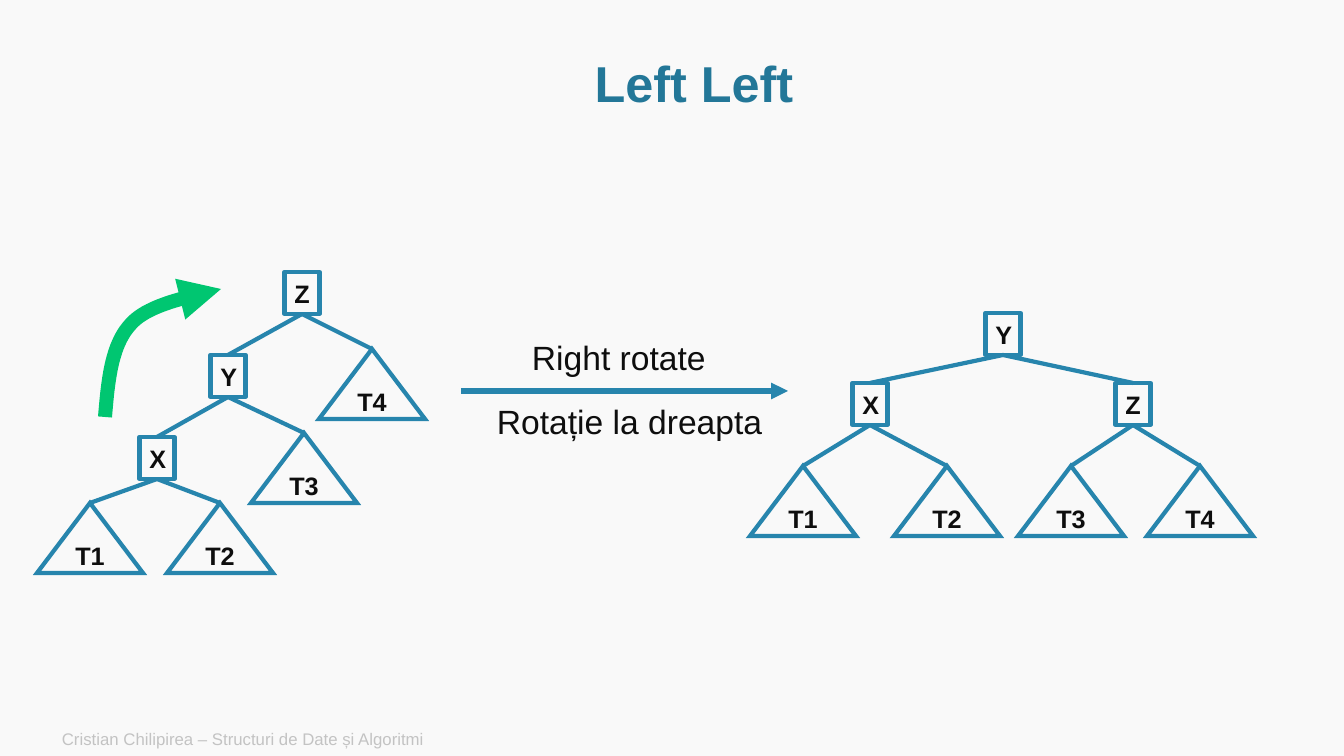
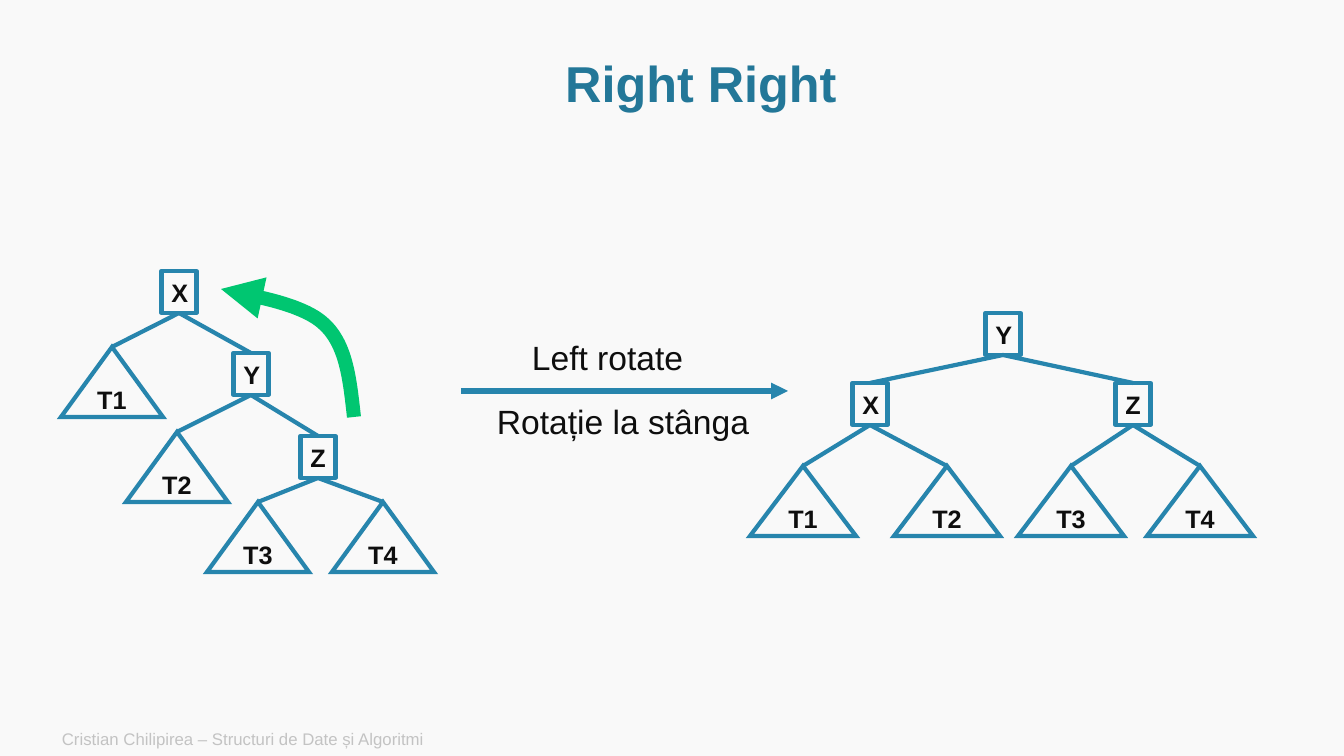
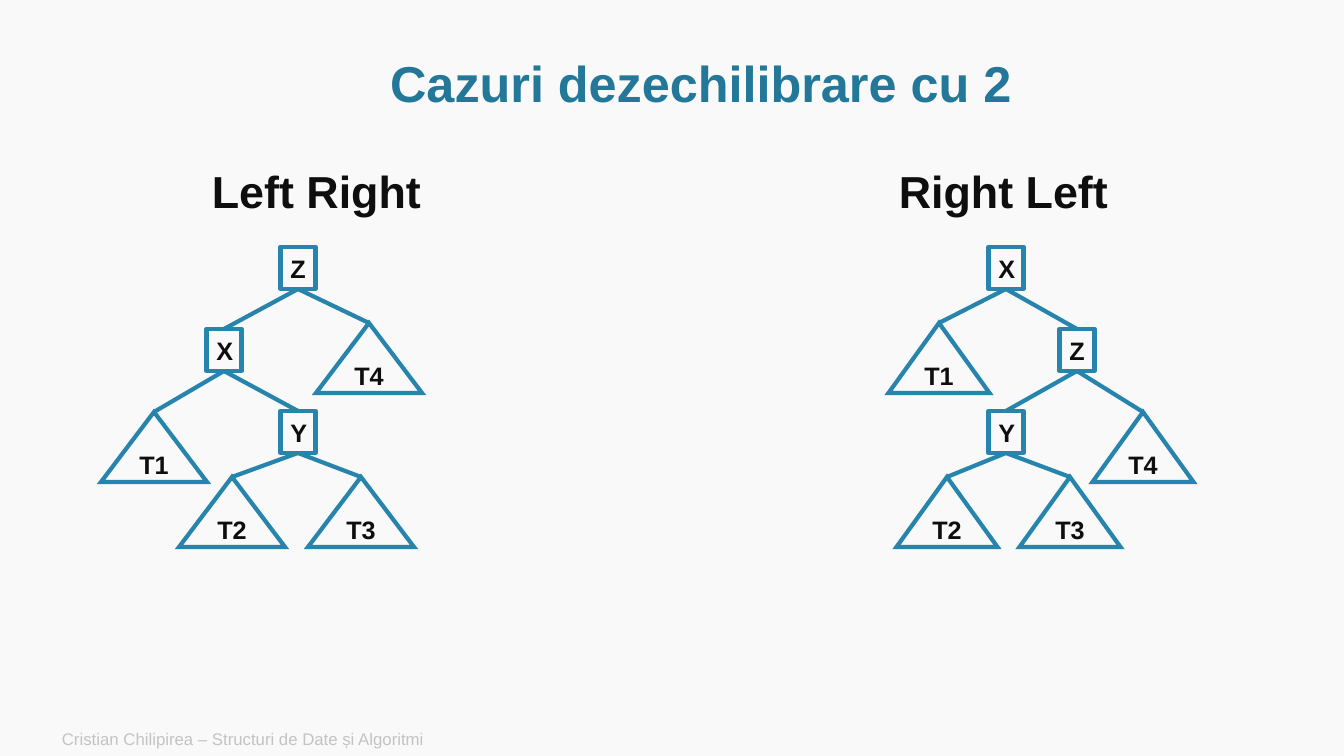
import pptx
import pptx.dml.color
import pptx.enum.shapes
import pptx.enum.text
import pptx.oxml.ns
import pptx.util
from lxml import etree

PX = 914400 / 100.8
COLOURS = {"background": "F9F9F9", "title": "237798", "text": "0E0E0E",
           "footer": "C3C3C3", "edge": "2785AD", "turn": "00C671"}
STYLES = {
    "title": {"size": 36, "bold": True, "colour": "title"},
    "heading": {"size": 32, "bold": True, "colour": "text"},
    "label": {"size": 24, "bold": False, "colour": "text"},
    "node": {"size": 18, "bold": True, "colour": "text"},
    "footer": {"size": 12, "bold": False, "colour": "footer"},
}
TITLE_AREA = (115, 51, 1172, 70)
FOOTER_AREA = (52, 722, 847, 34)
FOOTER = "Cristian Chilipirea – Structuri de Date și Algoritmi"
NODE_WIDTH, NODE_HEIGHT, SUBTREE_HEIGHT = 35, 42, 70
CURVE_STEPS = 24

ANCHOR = pptx.enum.text.MSO_ANCHOR
ALIGN = pptx.enum.text.PP_ALIGN
SHAPE = pptx.enum.shapes.MSO_SHAPE

# Each tree gives the apex of every node (centre x, top y) and the children of each key.
balanced = {
    "subtree_width": 106,
    "apex": {"Y": (1003, 313), "X": (870, 383), "Z": (1133, 383), "T1": (803, 466),
             "T2": (947, 466), "T3": (1071, 466), "T4": (1200, 466)},
    "children": {"Y": ("X", "Z"), "X": ("T1", "T2"), "Z": ("T3", "T4")},
}
left_left = {
    "subtree_width": 106,
    "apex": {"Z": (302, 272), "Y": (228, 355), "X": (157, 437), "T1": (90, 503),
             "T2": (220, 503), "T3": (304, 433), "T4": (372, 349)},
    "children": {"Z": ("Y", "T4"), "Y": ("X", "T3"), "X": ("T1", "T2")},
}
right_right = {
    "subtree_width": 102,
    "apex": {"X": (179, 271), "Y": (251, 353), "Z": (318, 436), "T1": (112, 347),
             "T2": (177, 432), "T3": (258, 502), "T4": (383, 502)},
    "children": {"X": ("T1", "Y"), "Y": ("T2", "Z"), "Z": ("T3", "T4")},
}
left_right = {
    "subtree_width": 106,
    "apex": {"Z": (298, 247), "X": (224, 329), "Y": (298, 411), "T1": (154, 412),
             "T2": (232, 477), "T3": (361, 477), "T4": (369, 323)},
    "children": {"Z": ("X", "T4"), "X": ("T1", "Y"), "Y": ("T2", "T3")},
}
right_left = {
    "subtree_width": 101,
    "apex": {"X": (1006, 247), "Z": (1077, 329), "Y": (1006, 411), "T1": (939, 323),
             "T2": (947, 477), "T3": (1070, 477), "T4": (1143, 412)},
    "children": {"X": ("T1", "Z"), "Z": ("Y", "T4"), "Y": ("T2", "T3")},
}

slides = [
    {"title": "Left Left ", "trees": [left_left, balanced],
     "texts": [("Right rotate", "label", (522, 332, 196, 50)),
               ("Rotație la dreapta", "label", (487, 396, 288, 50))],
     "turn": [(105, 417), (108, 382), (111, 346), (130, 325),
              (149, 302), (201, 295), (221, 289)]},
    {"title": "Right Right", "trees": [right_right, balanced],
     "texts": [("Left rotate", "label", (522, 332, 173, 50)),
               ("Rotație la stânga", "label", (487, 396, 275, 50))],
     "turn": [(354, 417), (350, 382), (347, 346), (325, 325),
              (302, 302), (244, 295), (221, 289)]},
    {"title": "Cazuri dezechilibrare cu 2", "trees": [left_right, right_left],
     "texts": [("Left Right", "heading", (202, 159, 241, 65)),
               ("Right Left", "heading", (889, 159, 297, 65))],
     "turn": None},
]


def write(box, text, style, align=ALIGN.LEFT, anchor=ANCHOR.MIDDLE, wrap=True):
    frame = box.text_frame
    frame.word_wrap = wrap
    frame.vertical_anchor = anchor
    frame.auto_size = pptx.enum.text.MSO_AUTO_SIZE.NONE
    para = frame.paragraphs[0]
    para.alignment = align
    span = para.add_run()
    span.text = text
    values = STYLES[style]
    settings = {"name": "Arial", "size": pptx.util.Pt(values["size"]), "bold": values["bold"]}
    for name, value in settings.items():
        setattr(span.font, name, value)
    span.font.color.rgb = pptx.dml.color.RGBColor.from_string(COLOURS[values["colour"]])
    return para


def stroke(item, colour, width, ending=None):
    """Give a shape or connector a plain line without shadow; ending is an extra line element."""
    item.line.color.rgb = pptx.dml.color.RGBColor.from_string(COLOURS[colour])
    item.line.width = pptx.util.Pt(width)
    if ending:
        tag, attributes = ending
        etree.SubElement(item.line._get_or_add_ln(), pptx.oxml.ns.qn(tag), attributes)
    etree.SubElement(item._element.spPr, pptx.oxml.ns.qn("a:effectLst"))


ARROWHEAD = ("a:tailEnd", {"type": "triangle"})
MITRE = ("a:miter", {"lim": "800000"})

deck = pptx.Presentation()
deck.slide_width, deck.slide_height = round(1344 * PX), round(756 * PX)
backdrop = deck.slide_master.background.fill
backdrop.solid()
backdrop.fore_color.rgb = pptx.dml.color.RGBColor.from_string(COLOURS["background"])
title_only = deck.slide_layouts.get_by_name("Title Only")

for content in slides:
    page = deck.slides.add_slide(title_only)
    shapes = page.shapes

    footer = shapes.add_textbox(*(round(v * PX) for v in FOOTER_AREA))
    write(footer, FOOTER, "footer")

    title = shapes.title
    for name, value in zip(("left", "top", "width", "height"), TITLE_AREA):
        setattr(title, name, round(value * PX))
    write(title, content["title"], "title", ALIGN.CENTER).line_spacing = 0.9

    for tree in content["trees"]:
        apex = tree["apex"]
        for parent, children in tree["children"].items():
            x, y = apex[parent]
            for child in children:
                ends = (x, y + NODE_HEIGHT, *apex[child])
                edge = shapes.add_connector(pptx.enum.shapes.MSO_CONNECTOR.STRAIGHT,
                                            *(round(v * PX) for v in ends))
                stroke(edge, "edge", 3)
        for name, (x, y) in apex.items():
            is_key = name in tree["children"]
            width = NODE_WIDTH if is_key else tree["subtree_width"]
            height = NODE_HEIGHT if is_key else SUBTREE_HEIGHT
            node = shapes.add_shape(SHAPE.RECTANGLE if is_key else SHAPE.ISOSCELES_TRIANGLE,
                                    *(round(v * PX) for v in (x - width / 2, y, width, height)))
            node.fill.background()
            stroke(node, "edge", 3, None if is_key else MITRE)
            write(node, name, "node", ALIGN.LEFT if is_key else ALIGN.CENTER, wrap=not is_key)

    for text, style, area in content["texts"]:
        box = shapes.add_textbox(*(round(v * PX) for v in area))
        write(box, text, style, anchor=ANCHOR.TOP)

    if content["turn"]:
        step = shapes.add_connector(pptx.enum.shapes.MSO_CONNECTOR.STRAIGHT,
                                    *(round(v * PX) for v in (461, 391, 788, 391)))
        stroke(step, "edge", 4, ARROWHEAD)

        points = content["turn"]
        curve = []
        for first in (0, 3):
            controls = points[first:first + 4]
            for index in range(1, CURVE_STEPS + 1):
                t = index / CURVE_STEPS
                weights = ((1 - t) ** 3, 3 * t * (1 - t) ** 2, 3 * t ** 2 * (1 - t), t ** 3)
                curve.append(tuple(sum(w * point[axis] for w, point in zip(weights, controls)) * PX
                                   for axis in (0, 1)))
        builder = shapes.build_freeform(*(v * PX for v in points[0]))
        builder.add_line_segments(curve, close=False)
        turn = builder.convert_to_shape()
        turn.fill.background()
        stroke(turn, "turn", 10, ARROWHEAD)

deck.save("out.pptx")
